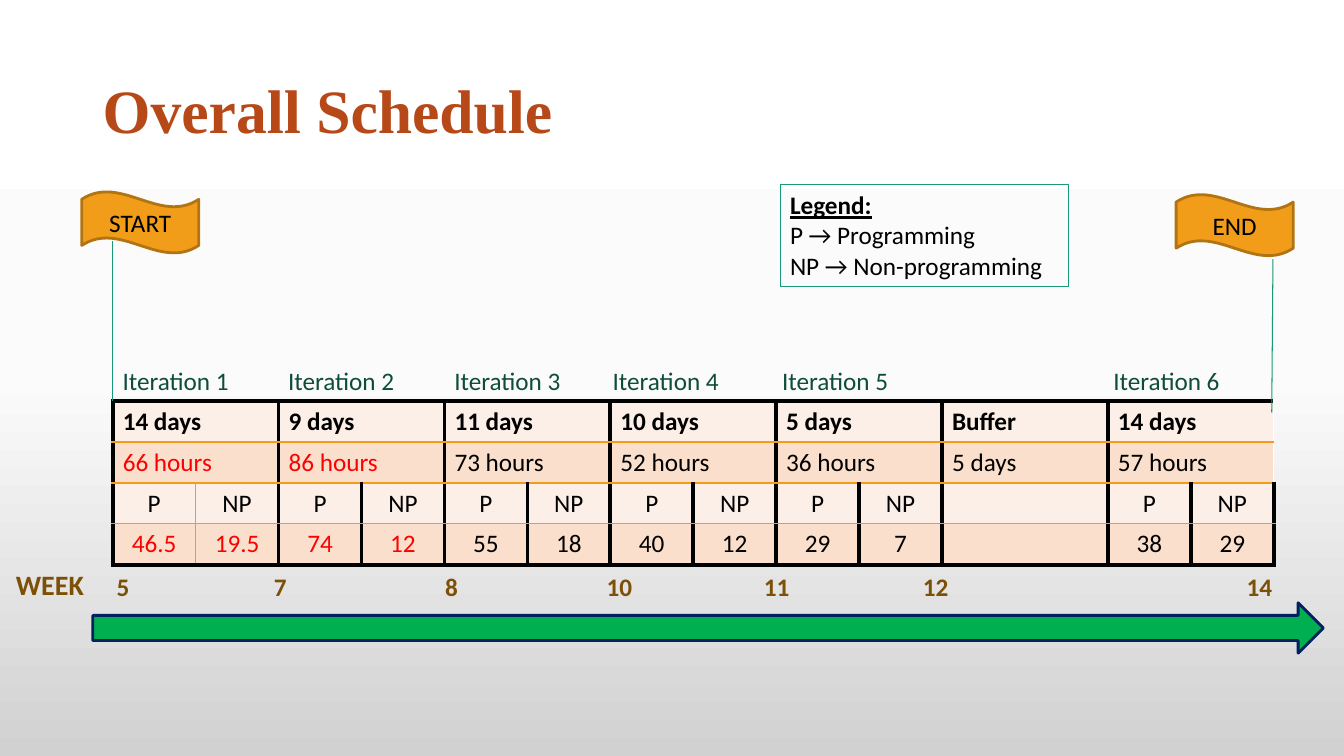
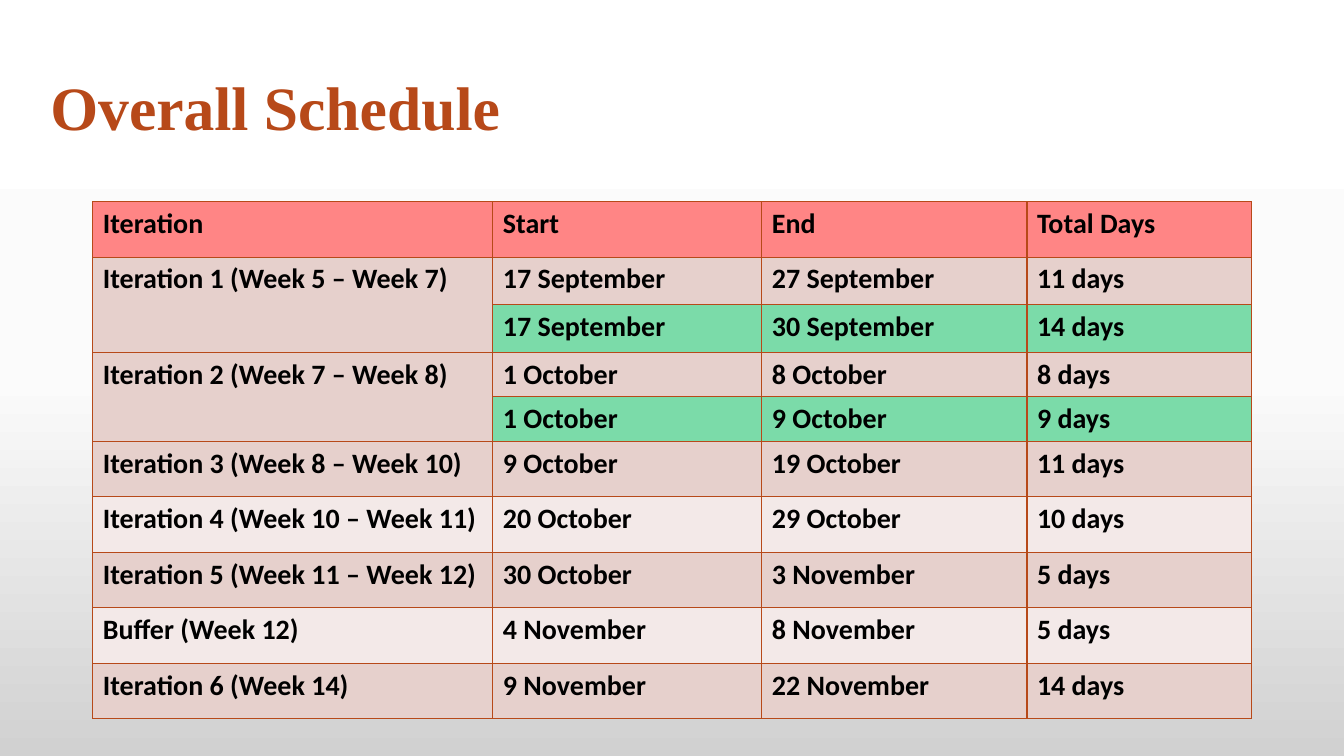
from copy import deepcopy
from dataclasses import dataclass, replace

from lxml import etree
from pptx import Presentation
from pptx.dml.color import RGBColor
from pptx.enum.shapes import MSO_CONNECTOR, MSO_SHAPE
from pptx.enum.text import MSO_ANCHOR, PP_ALIGN
from pptx.oxml.ns import qn
from pptx.shapes.autoshape import Shape
from pptx.slide import Slide
from pptx.table import Table, _Cell
from pptx.text.text import TextFrame
from pptx.util import Cm, Pt

LEFT, CENTER = PP_ALIGN.LEFT, PP_ALIGN.CENTER
TOP, MIDDLE = MSO_ANCHOR.TOP, MSO_ANCHOR.MIDDLE
WAVE, ARROW, BOX = MSO_SHAPE.WAVE, MSO_SHAPE.RIGHT_ARROW, MSO_SHAPE.RECTANGLE
STRAIGHT = MSO_CONNECTOR.STRAIGHT

WHITE = RGBColor(0xFF, 0xFF, 0xFF)
BLACK = RGBColor(0x00, 0x00, 0x00)
RED = RGBColor(0xFF, 0x00, 0x00)
RUST = RGBColor(0xB7, 0x49, 0x19)
ORANGE = RGBColor(0xF1, 0x9D, 0x19)
DARK_ORANGE = RGBColor(0xB2, 0x74, 0x12)
BROWN = RGBColor(0x7D, 0x50, 0x08)
TEAL = RGBColor(0x19, 0x9A, 0x77)
DARK_GREEN = RGBColor(0x0E, 0x4D, 0x3C)
GREEN = RGBColor(0x00, 0xB0, 0x50)
NAVY = RGBColor(0x00, 0x20, 0x60)
PALE_PEACH = RGBColor(0xFC, 0xEF, 0xE8)
PEACH = RGBColor(0xFA, 0xDF, 0xCC)
CORAL = RGBColor(0xFF, 0x85, 0x85)
ROSE = RGBColor(0xE6, 0xD0, 0xCC)
PALE_ROSE = RGBColor(0xF3, 0xE9, 0xE8)
MINT = RGBColor(0x7B, 0xDB, 0xA9)
BACKDROP = [(0, WHITE), (0.5, RGBColor(0xFB, 0xFB, 0xFB)), (1, RGBColor(0xD1, 0xD1, 0xD1))]


@dataclass(frozen=True)
class Style:
    size: float = 18
    color: RGBColor = BLACK
    bold: bool = False
    font: str = "Calibri"
    align: PP_ALIGN = LEFT


@dataclass(frozen=True)
class Area:
    left: float
    top: float
    width: float
    height: float

    def lengths(self) -> tuple[Cm, Cm, Cm, Cm]:
        return Cm(self.left), Cm(self.top), Cm(self.width), Cm(self.height)


@dataclass(frozen=True)
class Edge:
    color: RGBColor
    width: float


@dataclass(frozen=True)
class Phase:
    days: str
    hours: str
    split: tuple[str, ...] = ()
    late: bool = False


@dataclass(frozen=True)
class Period:
    name: str
    start: str
    end: str
    days: str
    fill: RGBColor
    height: float = 1.4


@dataclass(frozen=True)
class Label:
    text: str
    left: float


BODY = Style()
CENTERED = Style(align=CENTER)
TITLE = Style(44, RUST, True, "Times New Roman")
THICK, THIN, RULE = Edge(BLACK, 3), Edge(ORANGE, 1), Edge(RUST, 1)

PHASES = [
    Phase("14 days", "66 hours", ("46.5", "19.5"), True),
    Phase("9 days", "86 hours", ("74", "12"), True),
    Phase("11 days", "73 hours", ("55", "18")),
    Phase("10 days", "52 hours", ("40", "12")),
    Phase("5 days", "36 hours", ("29", "7")),
    Phase("Buffer", "5 days"),
    Phase("14 days", "57 hours", ("38", "29")),
]
ITERATIONS = [
    Label("Iteration 1", 2.84), Label("Iteration 2", 7.01), Label("Iteration 3", 11.2),
    Label("Iteration 4", 15.19), Label("Iteration 5", 19.46), Label("Iteration 6", 27.81),
]
WEEKS = [
    Label("5", 2.69), Label("7", 6.65), Label("8", 10.97), Label("10", 15.04),
    Label("11", 19), Label("12", 23.01), Label("14", 31.17),
]
PERIODS = [
    Period("Iteration", "Start", "End", "Total Days", CORAL),
    Period("Iteration 1 (Week 5 – Week 7)", "17 September", "27 September", "11 days", ROSE, 1.2),
    Period("", "17 September", "30 September", "14 days", MINT, 1.2),
    Period("Iteration 2 (Week 7 – Week 8)", "1 October", "8 October", "8 days", ROSE, 1.12),
    Period("", "1 October", "9 October", "9 days", MINT, 1.12),
    Period("Iteration 3 (Week 8 – Week 10)", "9 October", "19 October", "11 days", ROSE),
    Period("Iteration 4 (Week 10 – Week 11)", "20 October", "29 October", "10 days", PALE_ROSE),
    Period("Iteration 5 (Week 11 – Week 12)", "30 October", "3 November", "5 days", ROSE),
    Period("Buffer (Week 12)", "4 November", "8 November", "5 days", PALE_ROSE),
    Period("Iteration 6 (Week 14)", "9 November", "22 November", "14 days", ROSE),
]


# Shared drawing functions
def write(frame: TextFrame, text: str, style: Style) -> None:
    frame.text = text
    for para in frame.paragraphs:
        para.alignment = style.align
        for span in para.runs:
            span.font.name, span.font.size = style.font, Pt(style.size)
            span.font.bold, span.font.color.rgb = style.bold, style.color


def add_text(page: Slide, area: Area, text: str, style: Style) -> Shape:
    box = page.shapes.add_textbox(*area.lengths())
    box.text_frame.word_wrap = True
    write(box.text_frame, text, style)
    return box


def add_labels(page: Slide, labels: list[Label], top: float, width: float, style: Style) -> None:
    for label in labels:
        add_text(page, Area(label.left, top, width, 1.02), label.text, style)


def add_box(page: Slide, kind: MSO_SHAPE, area: Area, edge: Edge,
            fill: RGBColor | None = None) -> Shape:
    shape = page.shapes.add_shape(kind, *area.lengths())
    shape.shadow.inherit = False
    if fill is None:
        shape.fill.background()
    else:
        shape.fill.solid()
        shape.fill.fore_color.rgb = fill
    shape.line.color.rgb, shape.line.width = edge.color, Pt(edge.width)
    return shape


def add_line(page: Slide, x1: float, y1: float, x2: float, y2: float, edge: Edge) -> None:
    line = page.shapes.add_connector(STRAIGHT, Cm(x1), Cm(y1), Cm(x2), Cm(y2))
    line.line.color.rgb, line.line.width = edge.color, Pt(edge.width)
    etree.SubElement(line._element.spPr, qn("a:effectLst"))


def add_outline(parent: etree._Element, tag: str, edge: Edge) -> etree._Element:
    outline = etree.SubElement(parent, qn(tag), w=str(Pt(edge.width)))
    fill = etree.SubElement(outline, qn("a:solidFill"))
    etree.SubElement(fill, qn("a:srgbClr"), val=str(edge.color))
    return outline


def paint_cell(cell: _Cell, fill: RGBColor, left: Edge | None, right: Edge | None,
               top: Edge, bottom: Edge) -> None:
    properties = cell._tc.get_or_add_tcPr()
    for side, edge in zip("LRTB", (left, right, top, bottom)):
        if edge:
            add_outline(properties, f"a:ln{side}", edge)
    cell.fill.solid()
    cell.fill.fore_color.rgb = fill


def add_grid(page: Slide, left: float, top: float, widths: list[float],
             heights: list[float]) -> Table:
    area = Area(left, top, sum(widths), sum(heights))
    table = page.shapes.add_table(len(heights), len(widths), *area.lengths()).table
    table.first_row = table.horz_banding = False
    for column, width in zip(table.columns, widths):
        column.width = Cm(width)
    for row, height in zip(table.rows, heights):
        row.height = Cm(height)
    return table


def add_page(deck: Presentation, title: str, left: float, top: float) -> Slide:
    page = deck.slides.add_slide(deck.slide_layouts[6])
    # Grey backdrop, light at the top
    fill = page.background.fill
    fill.gradient()
    fill.gradient_angle = 270
    stop_list = page._element.find(".//" + qn("a:gsLst"))
    stop_list.append(deepcopy(stop_list[-1]))
    for stop, (position, color) in zip(fill.gradient_stops, BACKDROP):
        stop.position, stop.color.rgb = position, color
    # Title with a white outline
    box = add_text(page, Area(left, top, 29.21, 3.68), title, TITLE)
    box.text_frame.vertical_anchor = MIDDLE
    para = box.text_frame.paragraphs[0]
    para.line_spacing = 0.9
    properties = para.runs[0]._r.get_or_add_rPr()
    properties.insert(0, add_outline(properties, "a:ln", Edge(WHITE, 0.75)))
    return page


# Timeline slide
def add_phase_table(page: Slide) -> None:
    unit, height = 2.09, 1.03
    widths = [unit * (1 if phase.split else 2) for phase in PHASES for _ in phase.split or " "]
    table = add_grid(page, 2.84, 10.11, widths, [height] * 4)
    first = 0
    for phase in PHASES:
        parts = len(phase.split) or 1
        color = RED if phase.late else BLACK
        inner = THIN if first == 0 else THICK
        rows = [
            ((phase.days,), Style(bold=True)),
            ((phase.hours,), Style(color=color)),
            (("P", "NP") if phase.split else (), CENTERED),
            (phase.split, replace(CENTERED, color=color)),
        ]
        for index, (texts, style) in enumerate(rows):
            divider = inner if index > 1 else None
            for part in range(parts):
                paint_cell(table.cell(index, first + part),
                           PEACH if index % 2 else PALE_PEACH,
                           THICK if part == 0 else divider,
                           THICK if part == parts - 1 else divider,
                           THICK if index == 0 else THIN,
                           THICK if index == 3 else THIN)
            if index < 2 and parts > 1:
                table.cell(index, first).merge(table.cell(index, first + 1))
            for part, text in enumerate(texts):
                write(table.cell(index, first + part).text_frame, text, style)
        first += parts


def build_timeline(deck: Presentation) -> None:
    page = add_page(deck, "Overall Schedule", 2.34, 1.02)
    add_phase_table(page)
    add_box(page, ARROW, Area(2.34, 15.19, 31.01, 1.27), Edge(NAVY, 2), GREEN)
    # Flags and their poles
    for text, left, top in (("START", 2.06, 4.83), ("END", 29.64, 4.9)):
        flag = add_box(page, WAVE, Area(left, top, 2.95, 1.55), Edge(DARK_ORANGE, 2), ORANGE)
        write(flag.text_frame, text, CENTERED)
    pole = Edge(TEAL, 0.75)
    add_line(page, 2.84, 6.07, 2.84, 10.11, pole)
    add_line(page, 32.08, 6.53, 32.05, 10.39, pole)
    # Iteration and week labels
    add_labels(page, ITERATIONS, 9.07, 3.81, Style(color=DARK_GREEN))
    add_text(page, Area(0.15, 14.17, 2.46, 1.12), "WEEK", Style(20, BROWN, True))
    add_labels(page, WEEKS, 14.27, 1.32, Style(color=BROWN, bold=True))
    # Legend
    legend = add_box(page, BOX, Area(19.66, 4.65, 7.26, 2.57), pole)
    legend.text_frame.vertical_anchor = TOP
    write(legend.text_frame, "Legend:\nP → Programming\nNP → Non-programming", BODY)
    heading = legend.text_frame.paragraphs[0].runs[0]
    heading.font.bold = heading.font.underline = True


# Dates slide
def build_dates(deck: Presentation) -> None:
    page = add_page(deck, "Overall Schedule", 1.02, 0.94)
    table = add_grid(page, 2.34, 5.08, [10.08, 6.78, 6.68, 5.66],
                     [period.height for period in PERIODS])
    for row, period in enumerate(PERIODS):
        for column, text in enumerate((period.name, period.start, period.end, period.days)):
            cell = table.cell(row, column)
            paint_cell(cell, period.fill if text else ROSE, RULE, RULE, RULE, RULE)
            if text:
                write(cell.text_frame, text, Style(20, bold=True))
            else:
                table.cell(row - 1, column).merge(cell)


deck = Presentation()
deck.slide_width, deck.slide_height = Cm(33.87), Cm(19.05)
build_timeline(deck)
build_dates(deck)
deck.save("out.pptx")
